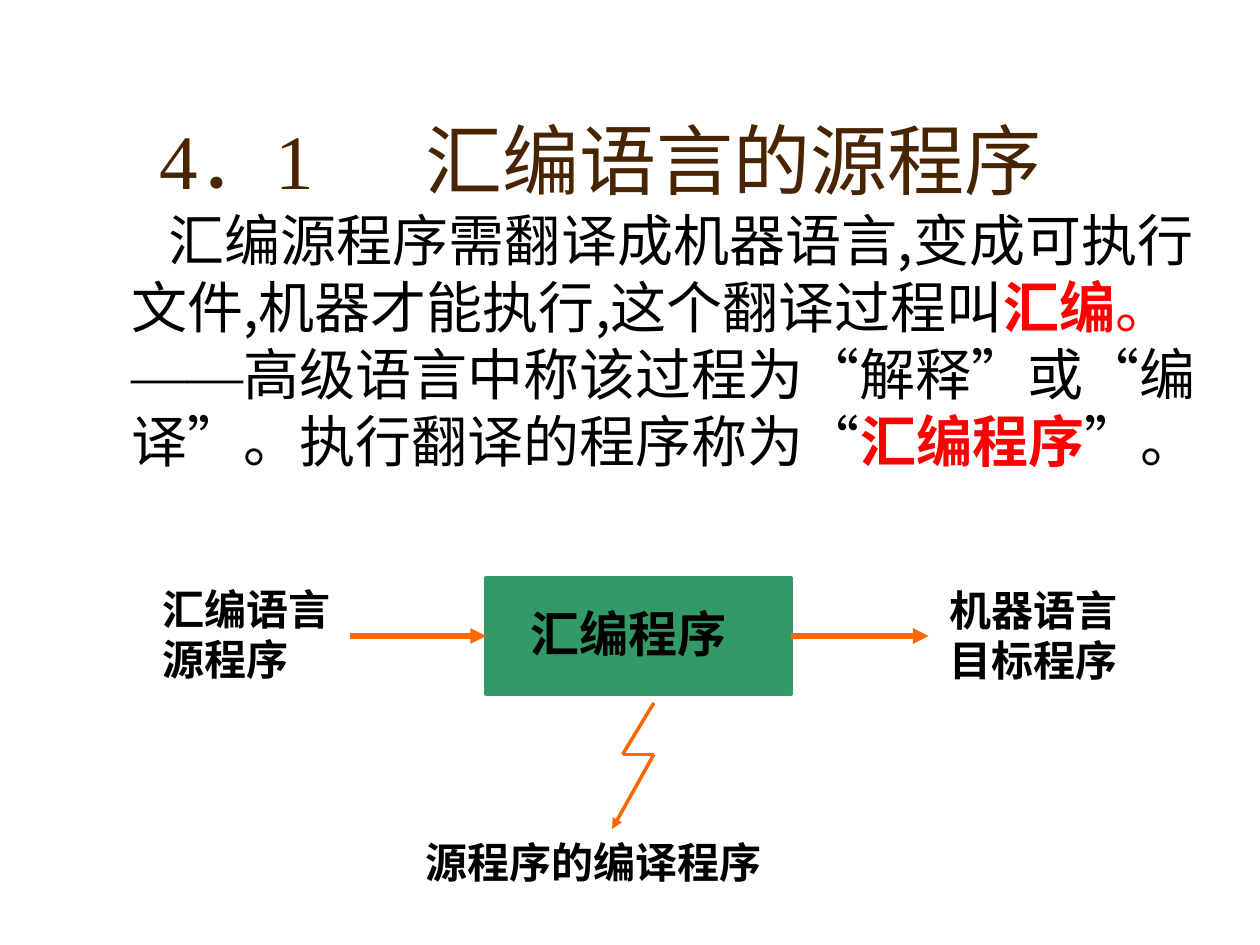
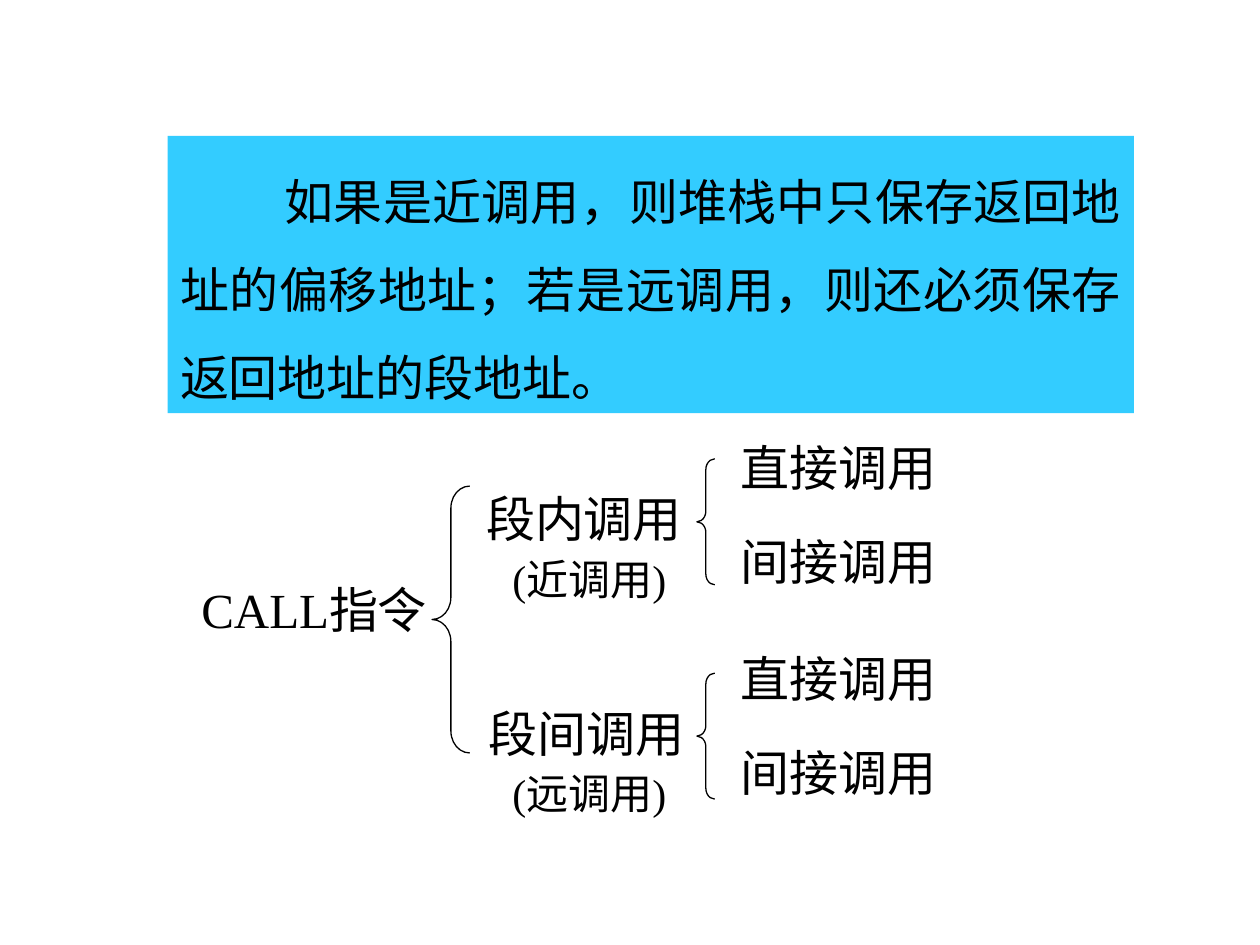
import pptx
import pptx.dml.color
import pptx.enum.shapes
import pptx.enum.text
import pptx.oxml.ns
import pptx.util
from lxml import etree

Cm, Pt = pptx.util.Cm, pptx.util.Pt
SHAPE = pptx.enum.shapes.MSO_SHAPE
FIT = pptx.enum.text.MSO_AUTO_SIZE
ALIGN = pptx.enum.text.PP_ALIGN
ANCHOR = pptx.enum.text.MSO_ANCHOR
qn = pptx.oxml.ns.qn

# Shared look
SERIF, SANS = "Times New Roman", "Noto Sans CJK SC"
BLACK, RED, BROWN = "000000", "FF0000", "482400"
GREEN, ORANGE, CYAN = "339966", "FF6600", "33CCFF"


def color(code):
    return pptx.dml.color.RGBColor.from_string(code)


def style(font, size, name=SERIF, ink=BLACK, bold=False, east=SANS):
    font.size = Pt(size)
    font.bold = bold
    font.color.rgb = color(ink)
    font.name = name
    etree.SubElement(font._element, qn("a:ea")).set("typeface", east)


def place(shape, left, top, width, height):
    shape.left, shape.top = Cm(left), Cm(top)
    shape.width, shape.height = Cm(width), Cm(height)


def indent(par, first):
    """Drop the bullet and set the first-line indent."""
    props = par._p.get_or_add_pPr()
    props.set("marL", "0")
    props.set("indent", str(Cm(first)))
    etree.SubElement(props, qn("a:buNone"))


def write(frame, text, size, **look):
    frame.word_wrap = True
    frame.auto_size = FIT.SHAPE_TO_FIT_TEXT
    par = frame.paragraphs[0]
    par.text = text
    style(par.font, size, **look)
    return par


def label(slide, text, left, top, width, height=1.45, size=28, **look):
    box = slide.shapes.add_textbox(Cm(left), Cm(top), Cm(width), Cm(height))
    write(box.text_frame, text, size, **look)


def block(slide, left, top, width, height, fill):
    box = slide.shapes.add_shape(
        SHAPE.RECTANGLE, Cm(left), Cm(top), Cm(width), Cm(height))
    box.shadow.inherit = False
    box.fill.solid()
    box.fill.fore_color.rgb = color(fill)
    box.line.fill.background()
    return box


def brace(slide, left, top, width, height, curve):
    shape = slide.shapes.add_shape(
        SHAPE.LEFT_BRACE, Cm(left), Cm(top), Cm(width), Cm(height))
    shape.adjustments[0] = curve
    shape.shadow.inherit = False
    shape.fill.background()
    shape.line.color.rgb = color(BLACK)
    shape.line.width = Pt(0.75)


def line(slide, start, end, width, arrow=True):
    link = slide.shapes.add_connector(
        pptx.enum.shapes.MSO_CONNECTOR.STRAIGHT,
        *(Cm(value) for value in (*start, *end)))
    link.line.color.rgb = color(ORANGE)
    link.line.width = Pt(width)
    if arrow:
        etree.SubElement(link.line._get_or_add_ln(), qn("a:tailEnd")).set(
            "type", "triangle")
    etree.SubElement(link._element.spPr, qn("a:effectLst"))
    return link


def heading(slide, text):
    title = slide.shapes.title
    place(title, 2.97, 1.07, 21.59, 3.18)
    frame = title.text_frame
    frame.vertical_anchor = ANCHOR.BOTTOM
    par = frame.paragraphs[0]
    par.alignment = ALIGN.LEFT
    tabs = etree.SubElement(par._p.get_or_add_pPr(), qn("a:tabLst"))
    etree.SubElement(tabs, qn("a:tab"), pos=str(Cm(5.35)), algn="l")
    write(frame, text, 44, ink=BROWN)
    frame.auto_size = FIT.NONE


def prose(slide, parts):
    """Fill the body with runs of (text, look)."""
    body = slide.placeholders[1]
    place(body, 2.39, 4.24, 23.01, 5.21)
    frame = body.text_frame
    frame.auto_size = FIT.NONE
    frame.vertical_anchor = ANCHOR.MIDDLE
    par = frame.paragraphs[0]
    par.space_before = Pt(0)
    indent(par, 0.76)
    for text, look in parts:
        run = par.add_run()
        run.text = text
        style(run.font, 32, **look)


def source(deck):
    slide = deck.slides.add_slide(deck.slide_layouts[1])
    heading(slide, "4．1\t汇编语言的源程序")
    plain = {"name": SANS}
    red = {"name": SANS, "ink": RED}
    key = {**red, "bold": True}
    prose(slide, [
        ("汇编源程序需翻译成机器语言,变成可执行文件,机器才能执行,这个翻译过程叫", plain),
        ("汇编", key),
        ("。", red),
        ("——", {"east": SERIF}),
        ("高级语言中称该过程为“解释”或“编译”。执行翻译的程序称为“", plain),
        ("汇编程序", key),
        ("”。", plain),
    ])

    # Flow from source to target
    mid = 12.82
    core = block(slide, 9.8, mid - 1.17, 6.15, 2.34, GREEN)
    core.line.color.rgb = color(GREEN)
    core.line.width = Pt(2)
    label(slide, "汇编程序", 10.44, 12.04, 5.28, name="Arial", bold=True)
    for text, left, top, width, height in (
            ("汇编语言源程序", 3.02, 11.63, 4.45, 2.29),
            ("机器语言目标程序", 18.9, 11.66, 4.65, 2.29),
            ("源程序的编译程序", 8.33, 16.74, 9.73, 1.27)):
        label(slide, text, left, top, width, height, 24, bold=True)
    line(slide, (7.06, mid), (9.8, mid), 3).end_connect(core, 1)
    line(slide, (15.95, mid), (18.72, mid), 3).begin_connect(core, 3)

    # Zigzag down to the note
    bends = [(13.18, 14.17), (12.55, 15.21), (13.18, 15.21), (12.34, 16.71)]
    for start, end in zip(bends, bends[1:]):
        line(slide, start, end, 2, arrow=end == bends[-1])


def calls(deck):
    slide = deck.slides.add_slide(deck.slide_layouts[6])
    panel = block(slide, 3.38, 2.74, 19.48, 5.59, CYAN)
    panel.text_frame.vertical_anchor = ANCHOR.TOP
    par = panel.text_frame.paragraphs[0]
    par.alignment = ALIGN.JUSTIFY
    par.line_spacing = 1.5
    indent(par, 2.11)
    write(panel.text_frame,
          "如果是近调用，则堆栈中只保存返回地址的偏移地址；"
          "若是远调用，则还必须保存返回地址的段地址。", 28)

    # Tree of call types
    label(slide, "CALL指令", 3.81, 11.56, 6.68)
    brace(slide, 8.71, 9.8, 0.76, 5.38, 0.584)
    for name, note, left, top, leaf in (
            ("段内调用", "(近调用)", 9.55, 9.73, 8.69),
            ("段间调用", "(远调用)", 9.6, 14.05, 12.95)):
        label(slide, name, left, top, 5.08)
        label(slide, note, 10.08, top + 1.3, 4.7, 1.27, 24)
        brace(slide, 14.05, top - 0.48, 0.36, 2.54, 0.6)
        for row, kind in enumerate(("直接调用", "间接调用")):
            label(slide, kind, 14.68, leaf + row * 1.9, 5.08)


def main():
    deck = pptx.Presentation()
    deck.slide_width, deck.slide_height = Cm(25.4), Cm(19.05)
    source(deck)
    calls(deck)
    deck.save("out.pptx")


if __name__ == "__main__":
    main()
